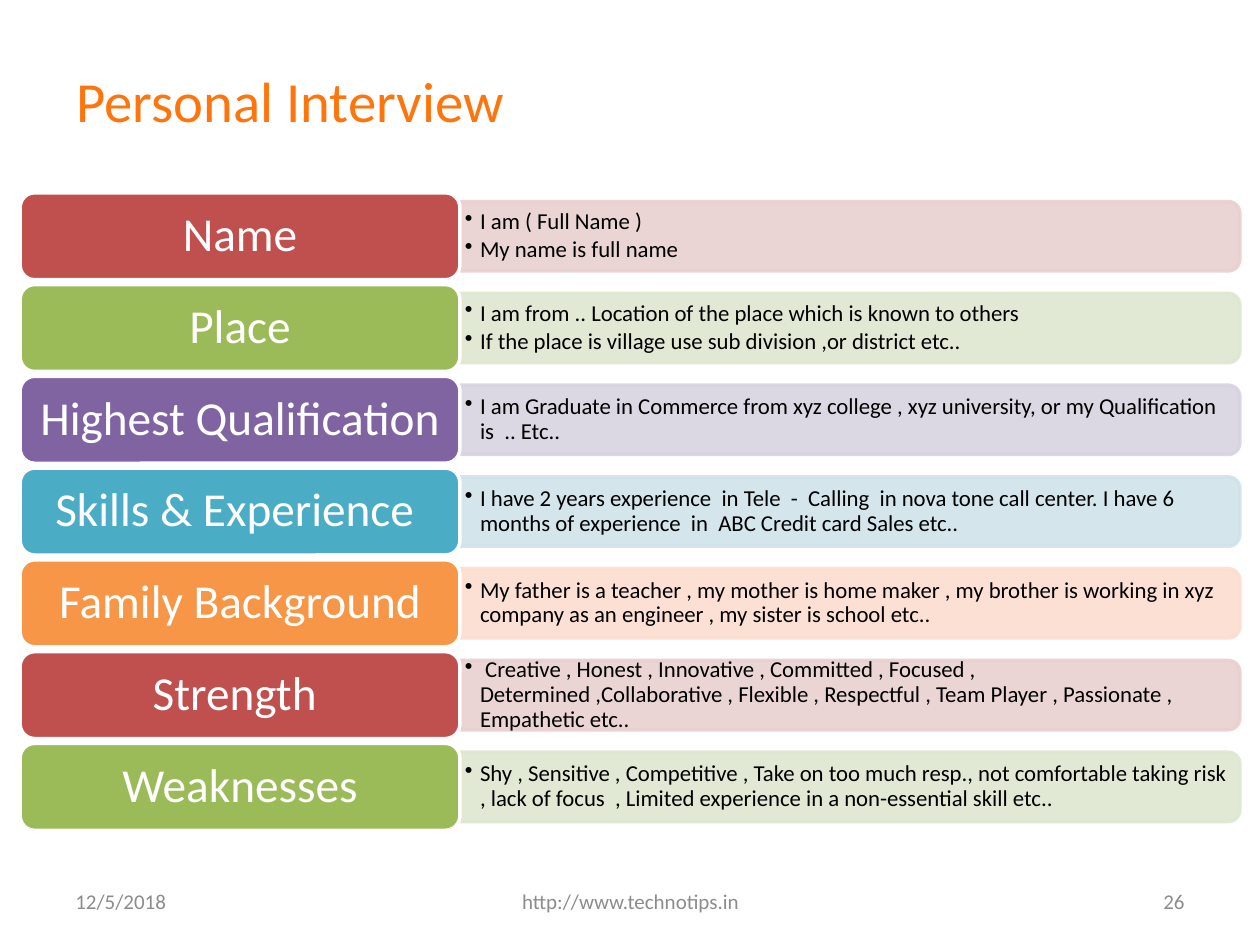
"""Build the Personal Interview slide: seven topic labels, each with a panel of sample answers."""
from dataclasses import dataclass

from lxml.etree import SubElement
from pptx import Presentation
from pptx.dml.color import RGBColor
from pptx.enum.shapes import MSO_SHAPE as Shape
from pptx.enum.text import MSO_ANCHOR as Anchor, PP_ALIGN as Align
from pptx.oxml.ns import qn
from pptx.util import Inches, Pt

TITLE = "Personal Interview"
FOOTERS = [
    ("12/5/2018", 0.5, 2.33, Align.LEFT),
    ("http://www.technotips.in", 3.42, 3.17, Align.CENTER),
    ("26", 7.17, 2.33, Align.RIGHT),
]
TOPICS = [
    ("Name", "red", ["I am ( Full Name )", "My name is full name"]),
    ("Place", "green", [
        "I am from .. Location of the place which is known to others",
        "If the place is village use sub division ,or district etc..",
    ]),
    ("Highest Qualification", "purple", [
        "I am Graduate in Commerce from xyz college , xyz university, or my "
        "Qualification is  .. Etc..",
    ]),
    ("Skills & Experience ", "blue", [
        "I have 2 years experience  in Tele  -  Calling  in nova tone call center. "
        "I have 6 months of experience  in  ABC Credit card Sales etc..",
    ]),
    ("Family Background", "orange", [
        "My father is a teacher , my mother is home maker , my brother is working "
        "in xyz company as an engineer , my sister is school etc..",
    ]),
    ("Strength ", "red", [
        " Creative , Honest , Innovative , Committed , Focused , Determined "
        ",Collaborative , Flexible , Respectful , Team Player , Passionate , "
        "Empathetic etc..",
    ]),
    ("Weaknesses", "green", [
        "Shy , Sensitive , Competitive , Take on too much resp., not comfortable "
        "taking risk , lack of focus  , Limited experience in a non-essential "
        "skill etc..",
    ]),
]


@dataclass(frozen=True)
class Theme:
    """Hold the colours, font and type sizes."""
    font: str = "Calibri"
    title: str = "FF750D"
    footer: str = "8C8C8C"
    answer: str = "000000"
    label: str = "FFFFFF"
    title_size: float = 32.4
    label_size: float = 27
    answer_size: float = 13
    footer_size: float = 12
    outline: float = 2
    panel_opacity: int = 90


THEME = Theme()
ACCENTS = {
    "red": ("C0504D", "E8D0D0"),
    "green": ("9BBB59", "DEE7D1"),
    "purple": ("8064A2", "D8D3E0"),
    "blue": ("4BACC6", "D0E3EA"),
    "orange": ("F79646", "FCDDCF"),
}
LABEL_LEFT, LABEL_WIDTH, LABEL_HEIGHT = 0.16, 3.49, 0.69
FIRST_TOP, LAST_TOP = 1.53, 5.9
ROW_STEP = (LAST_TOP - FIRST_TOP) / (len(TOPICS) - 1)
PANEL_LEFT, PANEL_WIDTH, PANEL_HEIGHT = 3.64, 6.2, 0.55
ANSWER_WIDTH, ANSWER_HEIGHT = 6.17, 0.5
BULLET_INDENT = 0.12


def inches(*lengths):
    return [Inches(length) for length in lengths]


def write(shape, lines, size, color, align=Align.LEFT, margins=(0.1, 0.05),
          spacing=None, bullets=False):
    frame = shape.text_frame
    frame.word_wrap = True
    frame.vertical_anchor = Anchor.MIDDLE
    frame.margin_left = frame.margin_right = Inches(margins[0])
    frame.margin_top = frame.margin_bottom = Inches(margins[1])
    frame.text = "\n".join(lines)
    for paragraph in frame.paragraphs:
        if bullets:
            add_bullet(paragraph)
            paragraph.space_after = Pt(2)
        paragraph.alignment = align
        if spacing:
            paragraph.line_spacing = spacing
        for run in paragraph.runs:
            run.font.name = THEME.font
            run.font.size = Pt(size)
            run.font.color.rgb = RGBColor.from_string(color)


def add_bullet(paragraph):
    properties = paragraph._p.get_or_add_pPr()
    properties.set("marL", str(Inches(BULLET_INDENT)))
    properties.set("indent", str(-Inches(BULLET_INDENT)))
    SubElement(properties, qn("a:buChar")).set("char", "•")


def add_text(slide, box, lines, size, color, **options):
    write(slide.shapes.add_textbox(*inches(*box)), lines, size, color, **options)


def add_block(slide, kind, box, fill, line):
    shape = slide.shapes.add_shape(kind, *inches(*box))
    shape.shadow.inherit = False
    shape.fill.solid()
    shape.fill.fore_color.rgb = RGBColor.from_string(fill)
    shape.line.color.rgb = RGBColor.from_string(line)
    shape.line.width = Pt(THEME.outline)
    return shape


def add_panel(slide, middle, tint):
    left = PANEL_LEFT + (PANEL_WIDTH - PANEL_HEIGHT) / 2
    box = (left, middle - PANEL_WIDTH / 2, PANEL_HEIGHT, PANEL_WIDTH)
    panel = add_block(slide, Shape.ROUND_2_SAME_RECTANGLE, box, tint, tint)
    panel.rotation = 90
    for color in panel._element.spPr.iter(qn("a:srgbClr")):
        SubElement(color, qn("a:alpha")).set("val", str(THEME.panel_opacity * 1000))


def add_topic(slide, index, name, accent, answers):
    strong, tint = ACCENTS[accent]
    top = FIRST_TOP + index * ROW_STEP
    middle = top + LABEL_HEIGHT / 2
    add_panel(slide, middle, tint)
    answer_box = (PANEL_LEFT, middle - ANSWER_HEIGHT / 2, ANSWER_WIDTH, ANSWER_HEIGHT)
    add_text(slide, answer_box, answers, THEME.answer_size, THEME.answer,
             margins=(0.05, 0.03), spacing=0.9, bullets=True)
    label_box = (LABEL_LEFT, top, LABEL_WIDTH, LABEL_HEIGHT)
    label = add_block(slide, Shape.ROUNDED_RECTANGLE, label_box, strong, THEME.label)
    write(label, [name], THEME.label_size, THEME.label, align=Align.CENTER,
          margins=(0.1, 0.06), spacing=0.9)


def main():
    presentation = Presentation()
    presentation.slide_width, presentation.slide_height = inches(10, 7.5)
    slide = presentation.slides.add_slide(presentation.slide_layouts[6])
    add_text(slide, (0.51, 0.5, 9, 0.58), [TITLE], THEME.title_size, THEME.title)
    for text, left, width, align in FOOTERS:
        add_text(slide, (left, 6.95, width, 0.4), [text], THEME.footer_size,
                 THEME.footer, align=align)
    for index, topic in enumerate(TOPICS):
        add_topic(slide, index, *topic)
    presentation.save("out.pptx")


if __name__ == "__main__":
    main()
